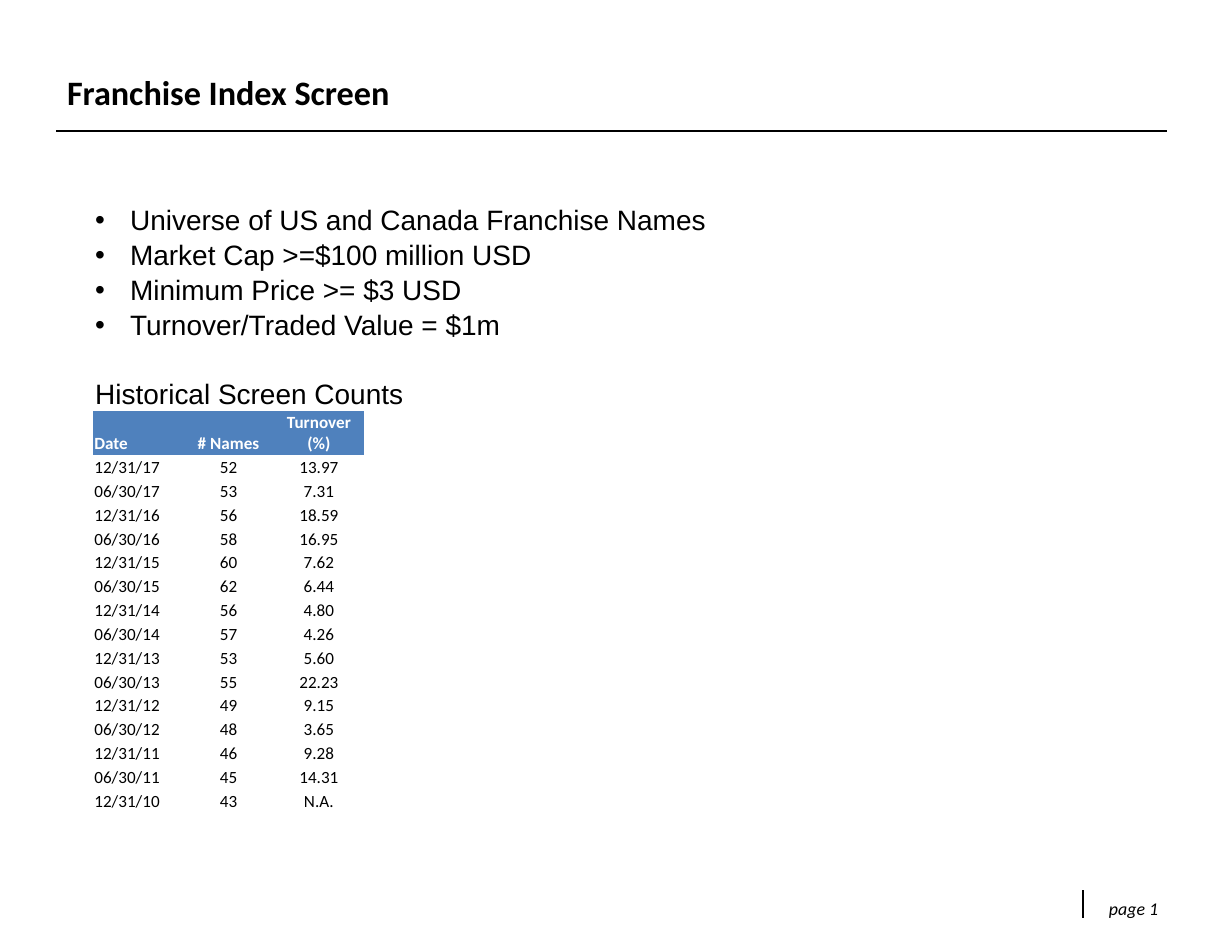
from pptx import Presentation, util as u
from pptx.dml.color import RGBColor
from pptx.enum import shapes, text
from pptx.oxml import ns
from lxml import etree

TITLE = "Franchise Index Screen"
CRITERIA = [
    "Universe of US and Canada Franchise Names",
    "Market Cap >=$100 million USD",
    "Minimum Price >= $3 USD",
    "Turnover/Traded Value = $1m",
]
TABLE_HEADING = "Historical Screen Counts"
HEADER = ("Date", "# Names", "Turnover (%)")
COUNTS = [
    ("12/31/17", "52", "13.97"),
    ("06/30/17", "53", "7.31"),
    ("12/31/16", "56", "18.59"),
    ("06/30/16", "58", "16.95"),
    ("12/31/15", "60", "7.62"),
    ("06/30/15", "62", "6.44"),
    ("12/31/14", "56", "4.80"),
    ("06/30/14", "57", "4.26"),
    ("12/31/13", "53", "5.60"),
    ("06/30/13", "55", "22.23"),
    ("12/31/12", "49", "9.15"),
    ("06/30/12", "48", "3.65"),
    ("12/31/11", "46", "9.28"),
    ("06/30/11", "45", "14.31"),
    ("12/31/10", "43", "N.A."),
]
PAGE = "page 1"
RULES = [(1.27, 2.97, 26.47, 2.97), (24.56, 20.19, 24.56, 20.83)]
COLORS = {"ink": "000000", "header": "4F81BD", "header_text": "FFFFFF"}
NO_STYLE = "{2D5ABB26-0587-4C30-8999-92F81FD0307C}"
COL_W, HEADER_H, ROW_H = 2.05, 0.98, 0.54


def color(name):
    return RGBColor.from_string(COLORS[name])


def place(sp, left, top, width, height):
    sp.left, sp.top, sp.width, sp.height = map(u.Cm, (left, top, width, height))


def set_frame(tf, anchor, side, top):
    tf.word_wrap = True
    tf.auto_size = text.MSO_AUTO_SIZE.NONE
    tf.vertical_anchor = anchor
    tf.margin_left = tf.margin_right = u.Cm(side)
    tf.margin_top = tf.margin_bottom = u.Cm(top)


def add_run(p, content, size, font, ink="ink", bold=False, italic=False):
    r = p.add_run()
    r.text = content
    r.font.size, r.font.name = u.Pt(size), font
    r.font.bold, r.font.italic = bold, italic
    r.font.color.rgb = color(ink)


def set_bullet(p, char=None):
    pPr = p._p.get_or_add_pPr()
    indent = u.Cm(0.79) if char else 0
    pPr.set("marL", str(indent))
    pPr.set("indent", str(-indent))
    if char:
        etree.SubElement(pPr, ns.qn("a:buFont")).set("typeface", "Arial")
        etree.SubElement(pPr, ns.qn("a:buChar")).set("char", char)
    else:
        etree.SubElement(pPr, ns.qn("a:buNone"))


def add_rule(s, ends):
    line = s.shapes.add_connector(shapes.MSO_CONNECTOR.STRAIGHT, *map(u.Cm, ends))
    line.line.color.rgb = color("ink")
    line.line.width = u.Pt(0.75)
    etree.SubElement(line._element.spPr, ns.qn("a:effectLst"))


def add_title(s):
    sp = s.shapes.title
    place(sp, 1.27, 1.47, 25.15, 1.52)
    set_frame(sp.text_frame, text.MSO_ANCHOR.TOP, 0.25, 0.15)
    p = sp.text_frame.paragraphs[0]
    p.alignment = text.PP_ALIGN.LEFT
    add_run(p, TITLE, 22, "Calibri", bold=True)


def add_criteria(s):
    sp = s.placeholders[1]
    place(sp, 1.91, 4.45, 24.33, 7.19)
    tf = sp.text_frame
    set_frame(tf, text.MSO_ANCHOR.TOP, 0.25, 0.15)
    for i, line in enumerate(CRITERIA + [TABLE_HEADING]):
        p = tf.add_paragraph() if i else tf.paragraphs[0]
        is_heading = line == TABLE_HEADING
        set_bullet(p, None if is_heading else "•")
        p.space_before = u.Pt(21.6 if is_heading else 0)
        p.space_after = u.Pt(0.9)
        add_run(p, line, 18, "Arial")


def add_counts(s):
    rows = [HEADER] + COUNTS
    height = HEADER_H + ROW_H * len(COUNTS)
    frame = s.shapes.add_table(len(rows), len(HEADER), u.Cm(2.11), u.Cm(9.32),
                               u.Cm(COL_W * len(HEADER)), u.Cm(height))
    table = frame.table
    table.horz_banding = False
    table._tbl.tblPr.find(ns.qn("a:tableStyleId")).text = NO_STYLE
    for col in table.columns:
        col.width = u.Cm(COL_W)
    for i, values in enumerate(rows):
        is_header = i == 0
        table.rows[i].height = u.Cm(HEADER_H if is_header else ROW_H)
        for j, value in enumerate(values):
            cell = table.cell(i, j)
            cell.vertical_anchor = text.MSO_ANCHOR.BOTTOM
            cell.margin_left = cell.margin_right = cell.margin_top = u.Cm(0.03)
            cell.margin_bottom = 0
            if is_header:
                cell.fill.solid()
                cell.fill.fore_color.rgb = color("header")
            else:
                cell.fill.background()
            p = cell.text_frame.paragraphs[0]
            p.alignment = text.PP_ALIGN.CENTER if j else text.PP_ALIGN.LEFT
            add_run(p, value, 11, "Calibri",
                    "header_text" if is_header else "ink", bold=is_header)


def add_page(s):
    sp = s.shapes.add_textbox(*map(u.Cm, (20.02, 20.02, 6.53, 1.14)))
    set_frame(sp.text_frame, text.MSO_ANCHOR.MIDDLE, 0.28, 0.15)
    p = sp.text_frame.paragraphs[0]
    p.alignment = text.PP_ALIGN.RIGHT
    add_run(p, PAGE, 11.5, "Calibri", italic=True)


def main():
    prs = Presentation()
    prs.slide_width, prs.slide_height = u.Cm(27.94), u.Cm(21.59)
    s = prs.slides.add_slide(prs.slide_layouts[1])
    for ends in RULES:
        add_rule(s, ends)
    add_page(s)
    add_title(s)
    add_criteria(s)
    add_counts(s)
    prs.save("out.pptx")


if __name__ == "__main__":
    main()
